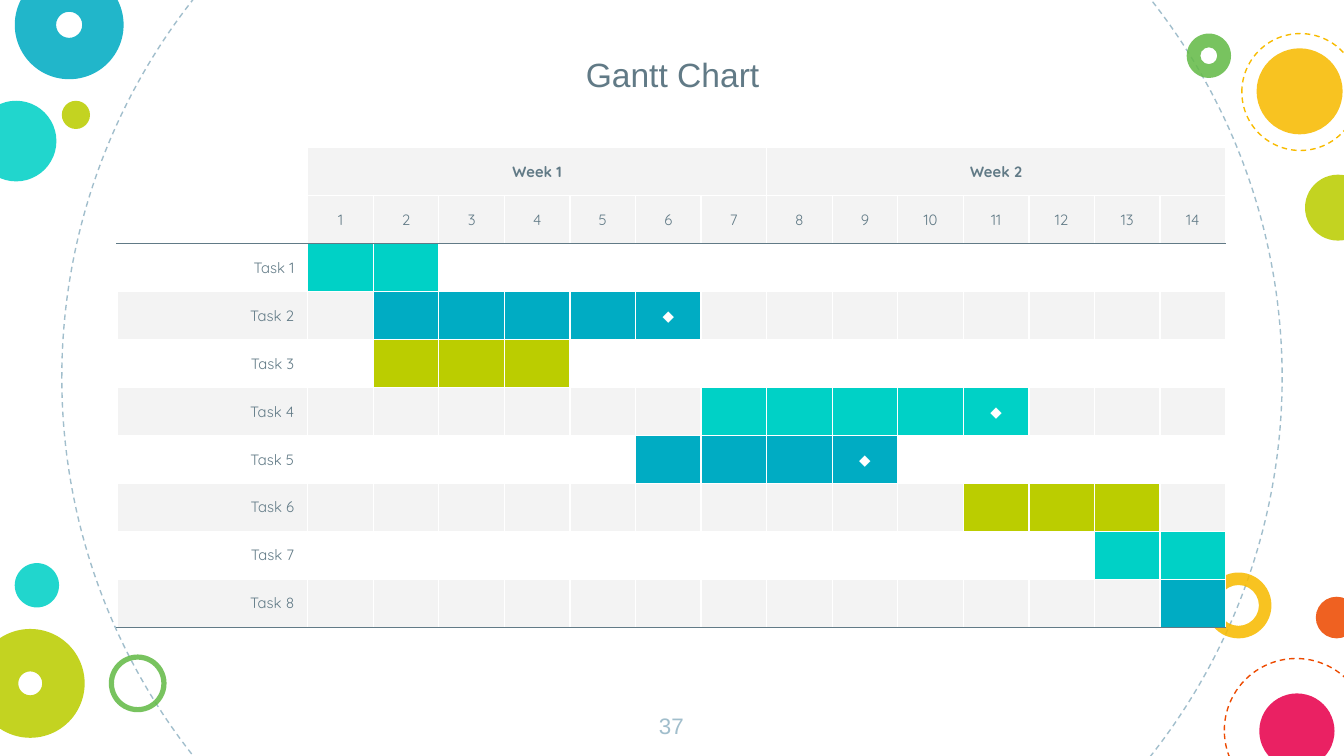
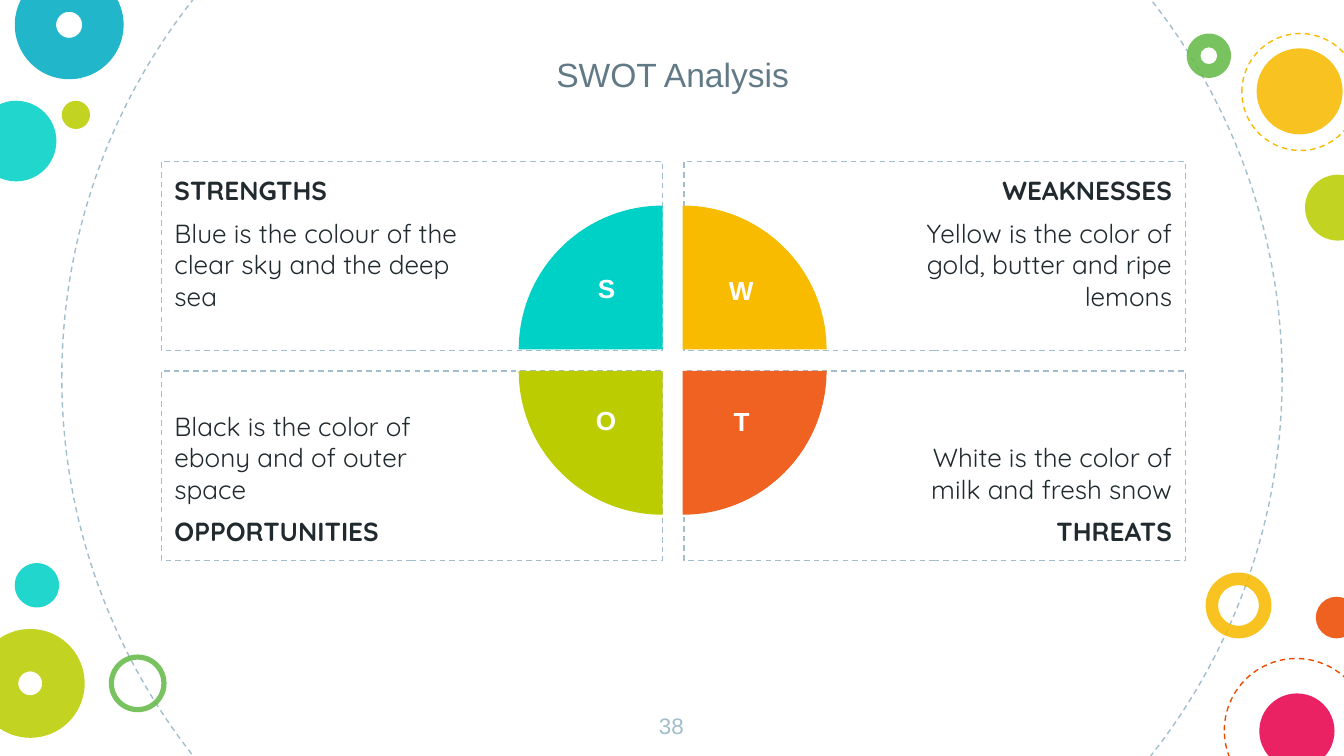
from dataclasses import dataclass
from typing import Optional

from lxml.etree import SubElement
from pptx import Presentation
from pptx.dml.color import RGBColor
from pptx.dml.fill import FillFormat
from pptx.enum.dml import MSO_LINE
from pptx.enum.shapes import MSO_SHAPE
from pptx.enum.text import MSO_ANCHOR, PP_ALIGN
from pptx.oxml import parse_xml
from pptx.oxml.ns import nsdecls, qn
from pptx.shapes.autoshape import Shape
from pptx.slide import Slide
from pptx.table import _Cell
from pptx.text.text import TextFrame
from pptx.util import Inches, Pt

TURQUOISE, BLUE, LIME, GREEN = "00D1C6", "00ACC3", "BBCD00", "65BB48"
YELLOW, ORANGE, PINK = "F8BB00", "ED4A00", "E8004C"
SLATE, MIST, INK, WHITE, PALE = "617A86", "A1BECC", "212A2E", "FFFFFF", "F3F3F3"
HEADING_FONT, BODY_FONT = "Arial", "Quicksand"
SLIDE_WIDTH = 10
DAYS_PER_WEEK, DAY_COUNT, HEADER_ROWS = 7, 14, 2


@dataclass(frozen=True)
class Circle:
    """A round decoration: filled, ring-shaped or only a dashed outline."""

    left: float
    top: float
    size: float
    colour: str
    ring: Optional[float] = None
    dashed: bool = False


@dataclass(frozen=True)
class Task:
    """A bar of the Gantt chart, with an optional milestone day."""

    first_day: int
    last_day: int
    colour: str
    milestone: Optional[int] = None


@dataclass(frozen=True)
class Quarter:
    """One quarter of the SWOT grid with its letter box."""

    column: int
    row: int
    heading: str
    body: str
    colour: str
    rotation: int
    letter_box: tuple[float, float, float, float]


CIRCLES = (
    Circle(0.46, -1.73, 9.08, MIST, dashed=True),
    Circle(-0.18, 0.75, 0.6, TURQUOISE),
    Circle(8.97, 4.26, 0.49, YELLOW, ring=0.19),
    Circle(0.11, -0.22, 0.81, BLUE, ring=0.38),
    Circle(0.46, 0.75, 0.21, LIME),
    Circle(9.11, 4.9, 1.07, ORANGE, dashed=True),
    Circle(0.81, 4.87, 0.43, GREEN, ring=0.09),
    Circle(9.79, 4.44, 0.31, ORANGE),
    Circle(-0.18, 4.68, 0.81, LIME, ring=0.39),
    Circle(9.37, 5.16, 0.56, PINK),
    Circle(8.83, 0.25, 0.33, GREEN, ring=0.31),
    Circle(9.35, 0.36, 0.64, YELLOW),
    Circle(9.71, 1.3, 0.49, LIME),
    Circle(9.24, 0.25, 0.87, YELLOW, dashed=True),
    Circle(0.11, 4.19, 0.33, TURQUOISE),
)

TASKS = (
    Task(1, 2, TURQUOISE),
    Task(2, 6, BLUE, milestone=6),
    Task(2, 4, LIME),
    Task(7, 11, TURQUOISE, milestone=11),
    Task(6, 9, BLUE, milestone=9),
    Task(11, 13, LIME),
    Task(13, 14, TURQUOISE),
    Task(14, 14, BLUE),
)

QUARTERS = (
    Quarter(0, 0, "STRENGTHS", "Blue is the colour of the clear sky and the deep sea",
            TURQUOISE, 0, (4.35, 1.98, 0.32, 0.41)),
    Quarter(1, 0, "WEAKNESSES", "Yellow is the color of gold, butter and ripe lemons",
            YELLOW, 90, (5.26, 1.99, 0.51, 0.39)),
    Quarter(0, 1, "OPPORTUNITIES", "Black is the color of ebony and of outer space",
            LIME, 270, (4.32, 2.96, 0.38, 0.41)),
    Quarter(1, 1, "THREATS", "White is the color of milk and fresh snow",
            "EF6222", 180, (5.36, 2.97, 0.31, 0.39)),
)


def paint(fill: FillFormat, colour: Optional[str], opacity: int = 100) -> None:
    """Fill with a hex colour, or with nothing."""
    if colour is None:
        fill.background()
        return
    fill.solid()
    fill.fore_color.rgb = RGBColor.from_string(colour)
    if opacity < 100:
        for element in fill._xPr.iter(qn("a:srgbClr")):
            SubElement(element, qn("a:alpha"), val=str(opacity * 1000))


def add_figure(slide: Slide, kind: MSO_SHAPE, box: tuple[float, float, float, float],
               fill: Optional[str] = None, dash: Optional[str] = None,
               opacity: int = 100) -> Shape:
    """Add a flat preset shape with an optional dashed outline."""
    shape = slide.shapes.add_shape(kind, *map(Inches, box))
    shape.shadow.inherit = False
    paint(shape.fill, fill, opacity)
    paint(shape.line.fill, dash)
    if dash:
        shape.line.width = Pt(0.75)
        shape.line.dash_style = MSO_LINE.DASH
    return shape


def write(frame: TextFrame, lines: tuple[str, ...], font: str, size: float, colour: str,
          align: PP_ALIGN = PP_ALIGN.CENTER, bold_line: Optional[int] = None) -> None:
    """Write one paragraph per line, with the chosen line in bold."""
    for index, line in enumerate(lines):
        paragraph = frame.add_paragraph() if index else frame.paragraphs[0]
        paragraph.text = line
        paragraph.alignment = align
        if index:
            paragraph.space_before = Pt(6)
            paragraph.space_after = Pt(6) if index == len(lines) - 1 else Pt(0)
        paragraph.font.name = font
        paragraph.font.size = Pt(size)
        paragraph.font.bold = index == bold_line
        paint(paragraph.font.fill, colour)


def add_label(slide: Slide, box: tuple[float, float, float, float], text: str, size: float,
              colour: str, bold: bool = False, inset: float = 0.1,
              anchor: MSO_ANCHOR = MSO_ANCHOR.TOP) -> None:
    """Add a centred line of heading text."""
    frame = slide.shapes.add_textbox(*map(Inches, box)).text_frame
    frame.word_wrap = True
    frame.vertical_anchor = anchor
    frame.margin_top = frame.margin_bottom = Inches(inset)
    write(frame, (text,), HEADING_FONT, size, colour, bold_line=0 if bold else None)


def start_slide(presentation: Presentation, number: int) -> Slide:
    """Add a slide with its decoration and number."""
    slide = presentation.slides.add_slide(presentation.slide_layouts[6])
    for circle in CIRCLES:
        kind = MSO_SHAPE.OVAL if circle.ring is None else MSO_SHAPE.DONUT
        box = (circle.left, circle.top, circle.size, circle.size)
        if circle.dashed:
            add_figure(slide, kind, box, dash=circle.colour)
            continue
        shape = add_figure(slide, kind, box, circle.colour, opacity=87)
        if circle.ring is not None:
            shape.adjustments[0] = circle.ring
    add_label(slide, (4.74, 5.2, 0.51, 0.43), str(number), 12, MIST)
    return slide


def add_title(slide: Slide, text: str) -> None:
    """Add the slide title."""
    add_label(slide, (2.12, 0.1, 5.77, 0.7), text, 18, SLATE, anchor=MSO_ANCHOR.BOTTOM)


def set_borders(cell: _Cell, top: str, bottom: str) -> None:
    """Draw white sides and the given top and bottom borders."""
    properties = cell._tc.get_or_add_tcPr()
    sides = (("L", WHITE), ("R", WHITE), ("T", top), ("B", bottom))
    for position, (side, colour) in enumerate(sides):
        properties.insert(position, parse_xml(
            f'<a:ln{side} {nsdecls("a")} w="9525"><a:solidFill>'
            f'<a:srgbClr val="{colour}"/></a:solidFill></a:ln{side}>'))


def gantt_cell(row: int, day: int) -> tuple[str, Optional[str]]:
    """Return the text and fill of a cell; day 0 is the label column."""
    if row < HEADER_ROWS:
        if day == 0:
            return "", None
        if row == 1:
            return str(day), PALE
        week, offset = divmod(day - 1, DAYS_PER_WEEK)
        return ("" if offset else f"Week {week + 1}"), PALE
    number = row - HEADER_ROWS
    task = TASKS[number]
    if task.first_day <= day <= task.last_day:
        return ("◆" if day == task.milestone else ""), task.colour
    return ("" if day else f"Task {number + 1}"), (PALE if number % 2 else None)


def add_gantt_table(slide: Slide) -> None:
    """Add the two-week schedule."""
    row_count = HEADER_ROWS + len(TASKS)
    table = slide.shapes.add_table(row_count, DAY_COUNT + 1, Inches(0.87), Inches(1.1),
                                   Inches(8.25), Inches(3.57)).table
    table.first_row = table.horz_banding = False
    for index, column in enumerate(table.columns):
        column.width = Inches(6.83 / DAY_COUNT if index else 1.42)
    ruled_rows = (HEADER_ROWS - 1, row_count - 1)
    for row in range(row_count):
        for day in range(DAY_COUNT + 1):
            cell = table.cell(row, day)
            text, fill = gantt_cell(row, day)
            paint(cell.fill, fill)
            set_borders(cell, SLATE if row - 1 in ruled_rows else WHITE,
                        SLATE if row in ruled_rows else WHITE)
            cell.vertical_anchor = MSO_ANCHOR.MIDDLE
            if not text:
                cell.margin_top = cell.margin_bottom = Inches(0)
            is_task = row >= HEADER_ROWS and day == 0
            write(cell.text_frame, (text,), BODY_FONT, 8, WHITE if text == "◆" else SLATE,
                  PP_ALIGN.RIGHT if is_task else PP_ALIGN.CENTER,
                  bold_line=None if row else 0)
    for first in range(1, DAY_COUNT, DAYS_PER_WEEK):
        table.cell(0, first).merge(table.cell(0, first + DAYS_PER_WEEK - 1))


def add_swot_panel(slide: Slide, quarter: Quarter) -> None:
    """Add a dashed panel with its heading on the outer edge."""
    box = (1.2 + 3.89 * quarter.column, 1.2 + 1.56 * quarter.row, 3.73, 1.41)
    frame = add_figure(slide, MSO_SHAPE.RECTANGLE, box, dash=MIST).text_frame
    frame.word_wrap = True
    frame.vertical_anchor = MSO_ANCHOR.BOTTOM if quarter.row else MSO_ANCHOR.TOP
    frame.margin_top = frame.margin_bottom = Inches(0.1)
    frame.margin_left = Inches(1.5 if quarter.column else 0.1)
    frame.margin_right = Inches(0.1 if quarter.column else 1.5)
    lines = (quarter.heading, quarter.body)
    write(frame, lines[::-1] if quarter.row else lines, BODY_FONT, 14, INK,
          PP_ALIGN.RIGHT if quarter.column else PP_ALIGN.LEFT, bold_line=quarter.row)


def add_swot_pie(slide: Slide, quarter: Quarter) -> None:
    """Add the quarter disc at the inner corner of a panel."""
    box = (3.86 + 0.15 * quarter.column, 1.53 + 0.16 * quarter.row, 2.14, 2.14)
    pie = add_figure(slide, MSO_SHAPE.PIE, box, quarter.colour)
    pie.adjustments[0] = 108
    pie.adjustments[1] = 162
    pie.rotation = quarter.rotation


def main() -> None:
    """Build and save the presentation."""
    presentation = Presentation()
    presentation.slide_width = Inches(SLIDE_WIDTH)
    presentation.slide_height = Inches(SLIDE_WIDTH * 9 / 16)

    gantt = start_slide(presentation, 37)
    add_gantt_table(gantt)
    add_title(gantt, "Gantt Chart")

    swot = start_slide(presentation, 38)
    for quarter in QUARTERS:
        add_swot_panel(swot, quarter)
    for quarter in sorted(QUARTERS, key=lambda item: item.rotation):
        add_swot_pie(swot, quarter)
    for quarter in QUARTERS:
        add_label(swot, quarter.letter_box, quarter.heading[0], 14, WHITE, bold=True, inset=0.05)
    add_title(swot, "SWOT Analysis")

    presentation.save("out.pptx")


if __name__ == "__main__":
    main()
